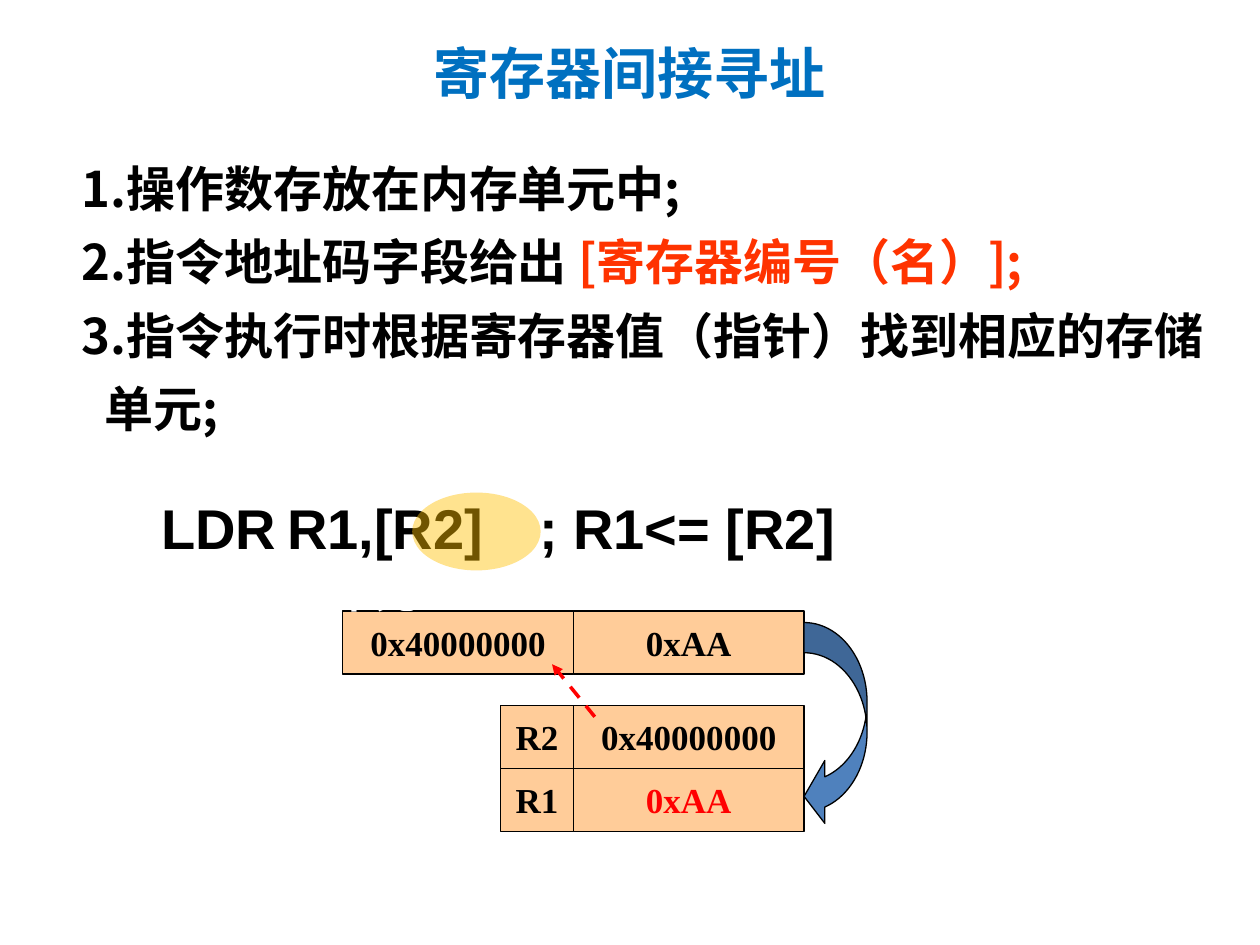
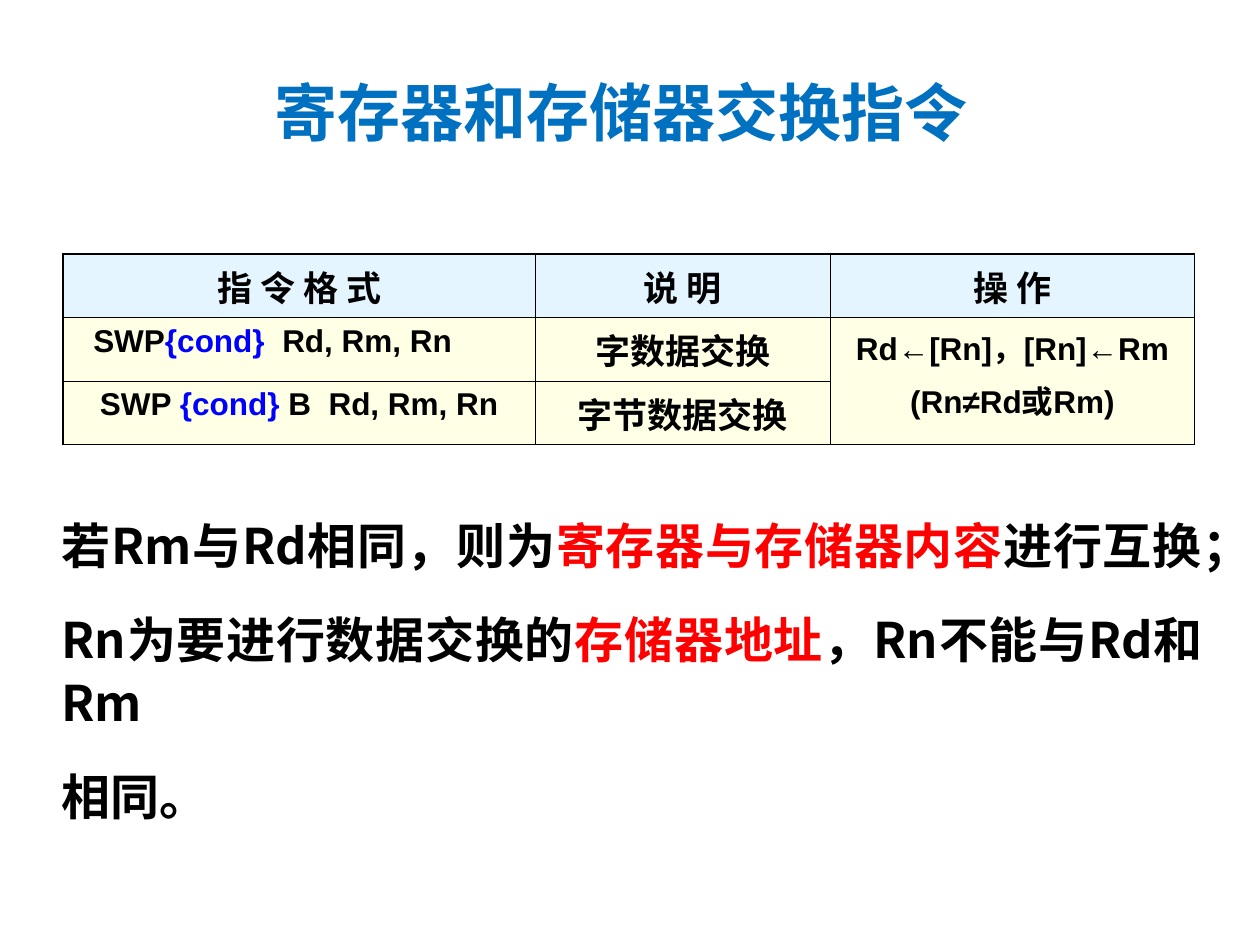
from lxml import etree
from pptx import Presentation
from pptx.dml.color import RGBColor
from pptx.enum.dml import MSO_LINE
from pptx.enum.shapes import MSO_CONNECTOR, MSO_SHAPE
from pptx.enum.text import MSO_ANCHOR, MSO_AUTO_SIZE, PP_ALIGN
from pptx.oxml.ns import qn
from pptx.util import Cm, Pt

CENTER, LEFT, JUSTIFY = PP_ALIGN.CENTER, PP_ALIGN.LEFT, PP_ALIGN.JUSTIFY
TOP, MIDDLE, BOTTOM = MSO_ANCHOR.TOP, MSO_ANCHOR.MIDDLE, MSO_ANCHOR.BOTTOM
RECTANGLE, OVAL = MSO_SHAPE.RECTANGLE, MSO_SHAPE.OVAL
CURVED_ARROW = MSO_SHAPE.CURVED_LEFT_ARROW
STRAIGHT, DASH, NO_AUTOFIT = MSO_CONNECTOR.STRAIGHT, MSO_LINE.DASH, MSO_AUTO_SIZE.NONE
TITLE_ONLY = 5

COLORS = {
    "title": "0070C0", "text": "000000", "white": "FFFFFF", "red": "FF0000",
    "operand": "FF3300", "condition": "0000FF", "memory": "FFCC99",
    "transfer": "4F81BD", "highlight": "FFC000",
    "header": "CCECFF", "row": "FFFFCC",
}
CJK, ARIAL, TIMES = "Noto Sans CJK SC", "Arial", "Times New Roman"


def rgb(name):
    """Return the named colour."""
    return RGBColor.from_string(COLORS[name])


def write(paragraph, parts, size, font=CJK, color="text", align=LEFT):
    """Fill a paragraph with bold text given as (text, colour or None) parts."""
    paragraph.alignment = align
    paragraph.font.size = Pt(size)
    paragraph.font.bold = True
    paragraph.font.color.rgb = rgb(color)
    paragraph.font.name = font
    defaults = paragraph._p.pPr.find(qn("a:defRPr"))
    etree.SubElement(defaults, qn("a:ea"), typeface=CJK)
    for text, accent in [(parts, None)] if isinstance(parts, str) else parts:
        run = paragraph.add_run()
        run.text = text
        if accent:
            run.font.color.rgb = rgb(accent)


def paragraphs(frame, count):
    """Return the given number of paragraphs of a frame."""
    return [frame.paragraphs[0]] + [frame.add_paragraph() for _ in range(count - 1)]


def fill_with(fill, color, properties=None, opacity=None):
    """Set a solid fill, made translucent if an opacity percentage is given."""
    fill.solid()
    fill.fore_color.rgb = rgb(color)
    if opacity:
        solid = properties.find(qn("a:solidFill"))
        etree.SubElement(solid[0], qn("a:alpha"), val=str(opacity * 1000))


def add_title(slide, text, box, size, anchor):
    """Place and format the slide title."""
    title = slide.shapes.title
    title.left, title.top, title.width, title.height = map(Cm, box)
    frame = title.text_frame
    frame.auto_size = NO_AUTOFIT
    frame.vertical_anchor = anchor
    write(frame.paragraphs[0], text, size, color="title", align=CENTER)


def add_text(slide, box, wrap=True):
    """Add a text box and return its frame."""
    frame = slide.shapes.add_textbox(*map(Cm, box)).text_frame
    frame.word_wrap = wrap
    return frame


def add_filled(slide, preset, box, color):
    """Add a flat preset shape with a thin black outline."""
    shape = slide.shapes.add_shape(preset, *map(Cm, box))
    shape.shadow.inherit = False
    fill_with(shape.fill, color)
    shape.line.color.rgb = rgb("text")
    shape.line.width = Pt(0.75)
    return shape


def add_lines(slide, box, lines, leading, gap=0, align=LEFT):
    """Write lines of (parts, indent) with a fixed line pitch."""
    frame = add_text(slide, box)
    for number, (paragraph, (parts, indent)) in enumerate(
            zip(paragraphs(frame, len(lines)), lines)):
        paragraph.line_spacing = Pt(leading)
        if number and gap:
            paragraph.space_before = Pt(gap)
        if indent:
            paragraph._p.get_or_add_pPr().set("marL", str(Cm(indent)))
        write(paragraph, parts, 28, align=align)


def add_instruction(slide, left, top):
    """Write the load instruction and highlight its pointer register."""
    frame = add_text(slide, (left, top, 18, 1.5))
    frame.vertical_anchor = MIDDLE
    paragraph = frame.paragraphs[0]
    stops = etree.SubElement(paragraph._p.get_or_add_pPr(), qn("a:tabLst"))
    for stop in (2.54, 7.62):
        etree.SubElement(stops, qn("a:tab"), pos=str(Cm(stop)), algn="l")
    write(paragraph, "LDR\tR1,[R2]\t; R1<= [R2]", 32, ARIAL)
    highlight = add_filled(slide, OVAL, (left + 5.31, top + 0.05, 2.59, 1.57), "highlight")
    fill_with(highlight.fill, "highlight", highlight._element.spPr, 44)
    highlight.line.fill.background()


def add_memory_diagram(slide, left, top):
    """Draw the memory unit, the registers and the transfer between them."""
    value_width, name_width, height = 4.65, 1.47, 1.27
    name_left = value_width - name_width
    r2_top = 1.9
    r1_top = r2_top + height
    cells = [
        ("R1", name_left, r1_top, name_width, "text"),
        ("R2", name_left, r2_top, name_width, "text"),
        ("0x40000000", value_width, r2_top, value_width, "text"),
        ("0xAA", value_width, 0, value_width, "text"),
        ("0x40000000", 0, 0, value_width, "text"),
        ("0xAA", value_width, r1_top, value_width, "red"),
    ]
    for text, x, y, width, color in cells:
        cell = add_filled(slide, RECTANGLE, (left + x, top + y, width, height), "memory")
        cell.text_frame.word_wrap = False
        cell.text_frame.vertical_anchor = MIDDLE
        write(cell.text_frame.paragraphs[0], text, 20, TIMES, color, CENTER)

    pointer = slide.shapes.add_connector(
        STRAIGHT, Cm(left + 5.08), Cm(top + 2.13), Cm(left + 4.22), Cm(top + 1.07))
    pointer.line.color.rgb = rgb("red")
    pointer.line.width = Pt(2)
    pointer.line.dash_style = DASH
    etree.SubElement(pointer.line._get_or_add_ln(), qn("a:tailEnd"), type="triangle")
    etree.SubElement(pointer._element.spPr, qn("a:effectLst"))

    transfer = add_filled(
        slide, CURVED_ARROW, (left + 2 * value_width, top + 0.23, 1.27, 4.14), "transfer")
    for index, ratio in enumerate((0.48, 1, 0.33)):
        transfer.adjustments[index] = ratio

    label = add_text(slide, (left - 2.13, top - 1.02, 3.89, 1.27), wrap=False)
    write(label.paragraphs[0], "内存单元", 24, color="white")


def format_cell(cell, color, borders):
    """Give a table cell its borders (left, right, top, bottom) and fill."""
    properties = cell._tc.get_or_add_tcPr()
    for side, width in zip("LRTB", borders):
        border = etree.SubElement(properties, qn(f"a:ln{side}"), w=str(Pt(width)))
        solid = etree.SubElement(border, qn("a:solidFill"))
        etree.SubElement(solid, qn("a:srgbClr"), val=COLORS["text"])
    fill_with(cell.fill, color, properties, 50)


def add_swap_table(slide, left, top):
    """Add the table of swap instructions."""
    widths, row_height = (9.52, 5.95, 7.34), 1.28
    frame = slide.shapes.add_table(
        3, 3, Cm(left), Cm(top), Cm(sum(widths)), Cm(3 * row_height))
    table = frame.table
    table.first_row = table.horz_banding = False
    for column, width in zip(table.columns, widths):
        column.width = Cm(width)
    for row in table.rows:
        row.height = Cm(row_height)
    thin, thick = 0.45, 1.08
    for row in range(3):
        for column in range(3):
            borders = (thin if column else thick, thin,
                       thin if row else thick, thick if row == 2 else thin)
            format_cell(table.cell(row, column), "row" if row else "header", borders)
    table.cell(1, 2).merge(table.cell(2, 2))

    for column, heading in enumerate(("指 令 格 式", "说 明", "操 作")):
        cell = table.cell(0, column)
        cell.vertical_anchor = MIDDLE
        write(cell.text_frame.paragraphs[0], heading, 20, "Comic Neue", align=CENTER)
    word_swap = [("SWP", None), ("{cond}  ", "condition"), ("Rd, Rm, Rn", None)]
    byte_swap = [("SWP ", None), ("{cond} ", "condition"), ("B  Rd, Rm, Rn", None)]
    entries = [
        (1, 0, [word_swap], 18, ARIAL, LEFT),
        (1, 1, ["字数据交换"], 20, CJK, CENTER),
        (1, 2, ["Rd←[Rn]，[Rn]←Rm", "(Rn≠Rd或Rm)"], 18, ARIAL, CENTER),
        (2, 0, [byte_swap], 18, ARIAL, CENTER),
        (2, 1, ["字节数据交换"], 20, CJK, CENTER),
    ]
    for row, column, lines, size, font, align in entries:
        cell = table.cell(row, column)
        cell.vertical_anchor = TOP
        for number, (paragraph, parts) in enumerate(
                zip(paragraphs(cell.text_frame, len(lines)), lines)):
            if number:
                paragraph.space_before = Pt(4.5)
            write(paragraph, parts, size, font, align=align)
    table.cell(1, 0).margin_left = Cm(0.61)


def build_addressing(slide):
    """Build the slide on register indirect addressing."""
    add_title(slide, "寄存器间接寻址", (1.27, 0, 22.86, 2.92), 32, MIDDLE)
    rules = [
        ("1.操作数存放在内存单元中;", 0),
        ([("2.指令地址码字段给出 ", None), ("[寄存器编号（名）];", "operand")], 0),
        ("3.指令执行时根据寄存器值（指针）找到相应的存储", 0),
        ("单元;", 0.46),
    ]
    add_lines(slide, (1.4, 2.77, 23.62, 6.2), rules, 42)
    add_instruction(slide, 3, 9.88)
    add_memory_diagram(slide, 6.91, 12.32)


def build_swap(slide):
    """Build the slide on register and memory swap instructions."""
    add_title(slide, "寄存器和存储器交换指令", (3.94, 1.35, 17.17, 1.78), 36, BOTTOM)
    add_swap_table(slide, 1.27, 5.12)
    remarks = [
        ([("若Rm与Rd相同，则为", None), ("寄存器与存储器内容", "red"),
          ("进行互换；", None)], 0),
        ([("Rn为要进行数据交换的", None), ("存储器地址", "red"),
          ("，Rn不能与Rd和Rm", None)], 0),
        ("相同。", 0),
    ]
    add_lines(slide, (0.99, 10.19, 23.5, 7.85), remarks, 36, 17.5, JUSTIFY)


def main():
    """Build and save the presentation."""
    deck = Presentation()
    deck.slide_width, deck.slide_height = Cm(25.4), Cm(19.05)
    for build in (build_addressing, build_swap):
        build(deck.slides.add_slide(deck.slide_layouts[TITLE_ONLY]))
    deck.save("out.pptx")


if __name__ == "__main__":
    main()
